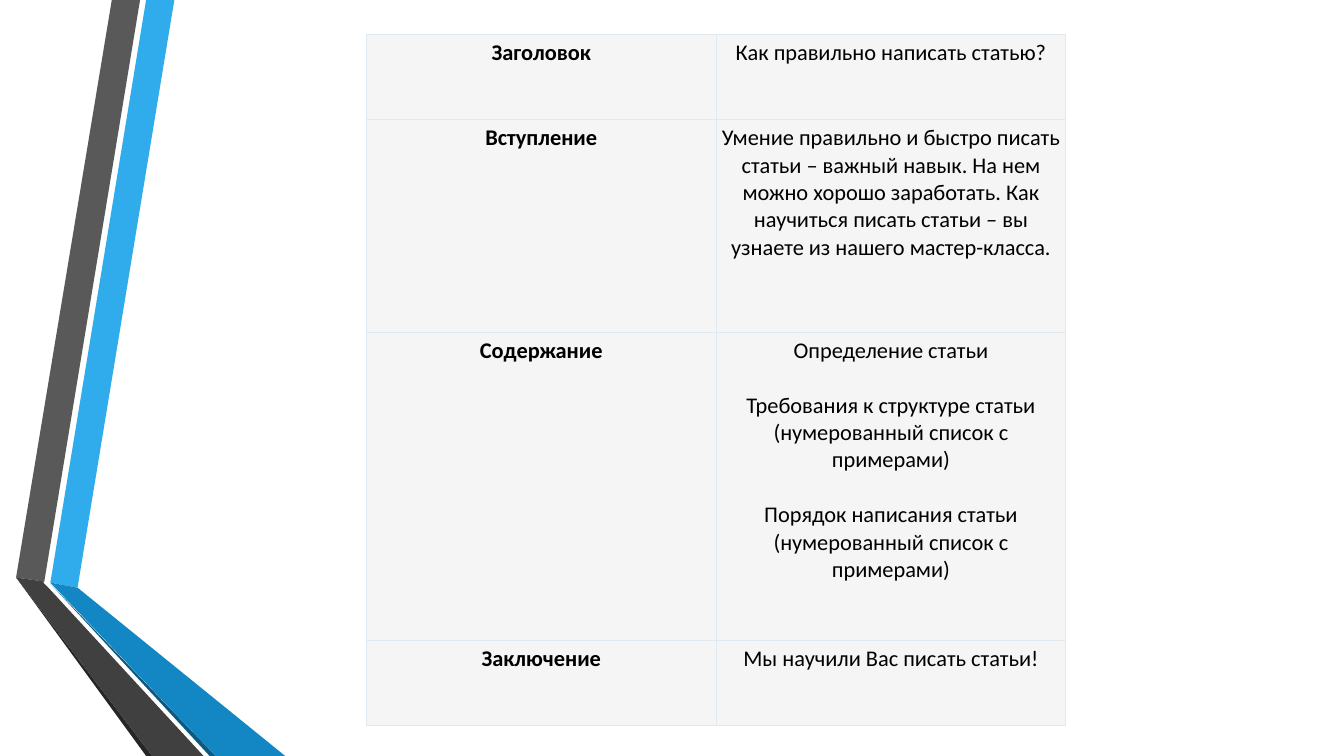
import dataclasses

import lxml.etree
import pptx
import pptx.dml.color
import pptx.enum.text
import pptx.oxml.ns
import pptx.util

GRID = pptx.util.Inches(0.01)


@dataclasses.dataclass(frozen=True)
class Theme:
    """Colours and type of the slide."""
    font: str = "Calibri"
    text_size: float = 16
    section_gap: float = 19.5
    text: str = "000000"
    cell: str = "F5F5F5"
    border: str = "E1E9F0"
    border_width: float = 0.75
    blue: str = "30ACEC"
    blue_fold: str = "1287C3"
    blue_edge: str = "0C5A82"
    grey: str = "595959"
    grey_fold: str = "404040"
    grey_edge: str = "262626"


@dataclasses.dataclass(frozen=True)
class Box:
    """A region measured in grid units."""
    left: float
    top: float
    width: float
    height: float

    def emu(self):
        """Return left, top, width and height as slide lengths."""
        return [round(value * GRID) for value in dataclasses.astuple(self)]


THEME = Theme()
SLIDE = Box(0, 0, 1333.33, 750)
RIBBON_BOX = Box(16, 0, 267, 750)
TABLE_BOX = Box(363.5, 34, 694, 686)

RIBBONS = [
    (THEME.blue, [(34, 578), (61, 583), (157, 0), (129, 0)]),
    (THEME.grey, [(123, 0), (95, 0), (0, 573), (28, 577)]),
    (THEME.grey_edge, [(0, 573), (129, 750), (135, 750)]),
    (THEME.blue_edge, [(34, 579), (192, 750), (198, 750)]),
    (THEME.blue_fold, [(34, 578), (198, 750), (267, 750), (61, 583)]),
    (THEME.grey_fold, [(186, 750), (32, 583), (27, 578), (28, 577), (0, 573), (135, 750)]),
]

ARTICLE_PARTS = [
    (84.5, "Заголовок", ["Как правильно написать статью?"]),
    (211, "Вступление", [
        "Умение правильно и быстро писать статьи – важный навык. "
        "На нем можно хорошо заработать. Как научиться писать статьи – "
        "вы узнаете из нашего мастер-класса."]),
    (306, "Содержание", [
        "Определение статьи",
        "Требования к структуре статьи (нумерованный список с примерами)",
        "Порядок написания статьи (нумерованный список с примерами)"]),
    (84.5, "Заключение", ["Мы научили Вас писать статьи!"]),
]


def rgb(code):
    """Return a colour from its hexadecimal code."""
    return pptx.dml.color.RGBColor.from_string(code)


def add_ribbons(page, box):
    """Draw the two folded ribbons from the corner of the box."""
    left, top, _, _ = box.emu()
    group = page.shapes.add_group_shape()
    for colour, outline in RIBBONS:
        builder = group.shapes.build_freeform(*outline[0], scale=GRID)
        builder.add_line_segments(outline[1:], close=True)
        ribbon = builder.convert_to_shape(left, top)
        ribbon.shadow.inherit = False
        ribbon.fill.solid()
        ribbon.fill.fore_color.rgb = rgb(colour)
        ribbon.line.fill.background()


def set_borders(cell):
    """Give a cell a thin line on all four sides."""
    properties = cell._tc.get_or_add_tcPr()
    name = pptx.oxml.ns.qn
    for side in ("a:lnL", "a:lnR", "a:lnT", "a:lnB"):
        line = lxml.etree.SubElement(
            properties, name(side), w=str(pptx.util.Pt(THEME.border_width)))
        fill = lxml.etree.SubElement(line, name("a:solidFill"))
        lxml.etree.SubElement(fill, name("a:srgbClr"), val=THEME.border)


def fill_cell(cell, texts, bold):
    """Write centred paragraphs into a bordered cell."""
    set_borders(cell)
    cell.fill.solid()
    cell.fill.fore_color.rgb = rgb(THEME.cell)
    cell.margin_left = cell.margin_right = 5 * GRID
    cell.margin_top = cell.margin_bottom = 5 * GRID
    for index, text in enumerate(texts):
        frame = cell.text_frame
        para = frame.add_paragraph() if index else frame.paragraphs[0]
        para.text = text
        para.alignment = pptx.enum.text.PP_ALIGN.CENTER
        para.space_before = pptx.util.Pt(THEME.section_gap if index else 0)
        para.font.name = THEME.font
        para.font.size = pptx.util.Pt(THEME.text_size)
        para.font.bold = bold
        para.font.color.rgb = rgb(THEME.text)


def add_article_table(page, box):
    """Fill the box with the table of article parts."""
    table = page.shapes.add_table(len(ARTICLE_PARTS), 2, *box.emu()).table
    table.first_row = table.horz_banding = False
    total = sum(part[0] for part in ARTICLE_PARTS)
    for row, (share, heading, texts) in zip(table.rows, ARTICLE_PARTS):
        row.height = round(box.height * share / total * GRID)
        fill_cell(row.cells[0], [heading], True)
        fill_cell(row.cells[1], texts, False)


def main():
    """Build and save the one-slide deck."""
    deck = pptx.Presentation()
    _, _, deck.slide_width, deck.slide_height = SLIDE.emu()
    page = deck.slides.add_slide(deck.slide_layouts.get_by_name("Blank"))
    add_ribbons(page, RIBBON_BOX)
    add_article_table(page, TABLE_BOX)
    deck.save("out.pptx")


if __name__ == "__main__":
    main()
